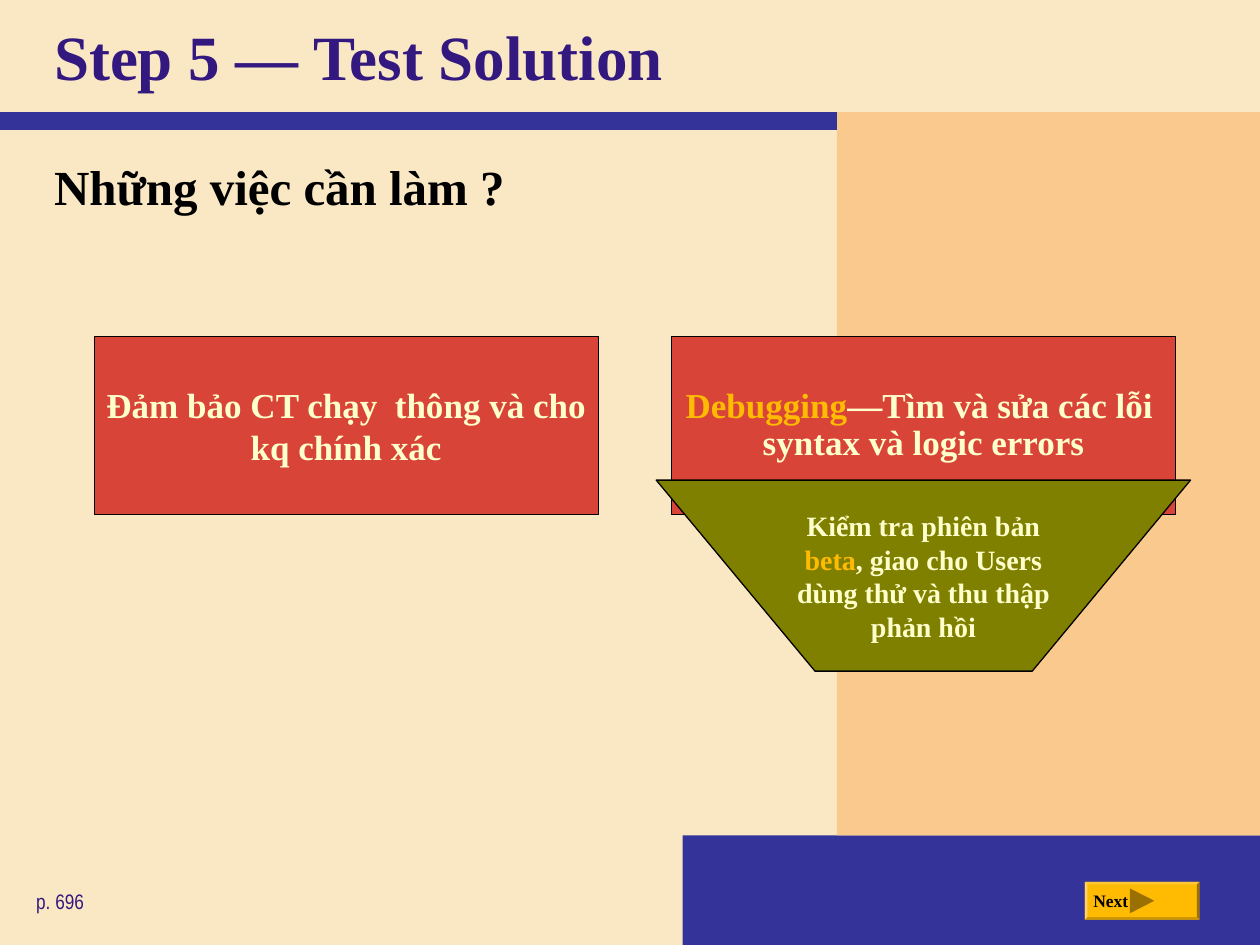
from dataclasses import dataclass

from lxml import etree
from pptx import Presentation
from pptx.dml.color import RGBColor
from pptx.enum import shapes, text
from pptx.oxml import ns
from pptx.util import Cm, Pt


@dataclass(frozen=True)
class Theme:
    background: str = "FAE8C4"
    sidebar: str = "FAC98E"
    band: str = "333399"
    heading: str = "33197F"
    black: str = "000000"
    card: str = "D94439"
    olive: str = "808000"
    cream: str = "FFFFCC"
    amber: str = "FFBA02"
    amber_light: str = "FFC834"
    amber_pale: str = "FFD567"
    amber_shade: str = "CC9502"
    amber_dark: str = "997001"
    serif: str = "Times New Roman"
    narrow: str = "Arial Narrow"
    title_size: int = 36
    body_size: int = 28
    card_size: int = 20
    note_size: int = 16
    page_size: int = 12
    button_size: int = 10


THEME = Theme()
Point = tuple[float, float]


@dataclass(frozen=True)
class Box:
    left: float
    top: float
    width: float
    height: float

    def lengths(self) -> list[Cm]:
        return [Cm(v) for v in (self.left, self.top, self.width, self.height)]


@dataclass(frozen=True)
class Run:
    words: str
    color: str


@dataclass(frozen=True)
class Label:
    box: Box
    run: Run
    size: int
    font: str = THEME.serif
    bold: bool = True
    anchor: text.MSO_ANCHOR = text.MSO_ANCHOR.TOP


@dataclass(frozen=True)
class Card:
    left: float
    runs: tuple[Run, ...]
    line_spacing: float = 1.0


def write(shape, runs: tuple[Run, ...], size: int, font: str = THEME.serif,
          bold: bool = True, **paragraph_format) -> None:
    shape.text_frame.word_wrap = True
    paragraph = shape.text_frame.paragraphs[0]
    for name, value in paragraph_format.items():
        setattr(paragraph, name, value)
    for item in runs:
        run = paragraph.add_run()
        run.text = item.words
        for name, value in {"name": font, "size": Pt(size), "bold": bold}.items():
            setattr(run.font, name, value)
        run.font.color.rgb = RGBColor.from_string(item.color)


def set_frame(shape, anchor: text.MSO_ANCHOR, side: float, top: float = 0,
              bottom: float = 0) -> None:
    values = {"vertical_anchor": anchor, "margin_left": Cm(side), "margin_right": Cm(side),
              "margin_top": Cm(top), "margin_bottom": Cm(bottom)}
    for name, value in values.items():
        setattr(shape.text_frame, name, value)


def paint(shape, fill: str, outlined: bool = False) -> None:
    shape.shadow.inherit = False
    shape.fill.solid()
    shape.fill.fore_color.rgb = RGBColor.from_string(fill)
    if outlined:
        shape.line.color.rgb = RGBColor.from_string(THEME.black)
        shape.line.width = Pt(0.75)
    else:
        shape.line.fill.background()


def add_rectangle(slide, box: Box, fill: str, outlined: bool = False):
    shape = slide.shapes.add_shape(shapes.MSO_SHAPE.RECTANGLE, *box.lengths())
    paint(shape, fill, outlined)
    return shape


def add_polygon(slide, points: list[Point], fill: str, outlined: bool = False):
    corners = [(Cm(x), Cm(y)) for x, y in points]
    builder = slide.shapes.build_freeform(*corners[0])
    builder.add_line_segments(corners[1:], close=True)
    shape = builder.convert_to_shape()
    paint(shape, fill, outlined)
    return shape


def add_label(slide, label: Label) -> None:
    shape = slide.shapes.add_textbox(*label.box.lengths())
    set_frame(shape, label.anchor, 0.25, 0.13, 0.13)
    write(shape, (label.run,), label.size, label.font, label.bold)


def add_rule(slide, length: float, y: float) -> None:
    rule = slide.shapes.add_connector(
        shapes.MSO_CONNECTOR.STRAIGHT, Cm(0), Cm(y), Cm(length), Cm(y))
    rule.line.color.rgb = RGBColor.from_string(THEME.band)
    rule.line.width = Pt(10)
    etree.SubElement(rule.element.spPr, ns.qn("a:effectLst"))


def add_card(slide, card: Card) -> None:
    shape = add_rectangle(slide, Box(card.left, 6.78, 10.16, 3.6), THEME.card, True)
    set_frame(shape, text.MSO_ANCHOR.MIDDLE, 0)
    write(shape, card.runs, THEME.card_size, alignment=text.PP_ALIGN.CENTER,
          line_spacing=card.line_spacing)


def corners_of(box: Box, inset: float = 0) -> list[Point]:
    left, top = box.left + inset, box.top + inset
    right, bottom = box.left + box.width - inset, box.top + box.height - inset
    return [(left, top), (right, top), (right, bottom), (left, bottom)]


def add_next_button(slide, box: Box) -> None:
    outer, inner = corners_of(box), corners_of(box, 0.05)
    add_rectangle(slide, box, THEME.amber)
    # Bevelled edges: top, right, bottom, left
    shades = (THEME.amber_light, THEME.amber_dark, THEME.amber_shade, THEME.amber_pale)
    for i, shade in enumerate(shades):
        j = (i + 1) % 4
        add_polygon(slide, [outer[i], outer[j], inner[j], inner[i]], shade)
    # Arrow
    x, middle = box.left + 0.91, box.top + box.height / 2
    add_polygon(slide, [(x, middle - 0.25), (x + 0.49, middle), (x, middle + 0.25)],
                THEME.amber_dark)


def main() -> None:
    presentation = Presentation()
    presentation.slide_width, presentation.slide_height = Cm(25.4), Cm(19.05)
    slide = presentation.slides.add_slide(presentation.slide_layouts[6])
    slide.background.fill.solid()
    slide.background.fill.fore_color.rgb = RGBColor.from_string(THEME.background)

    # Background bands
    add_rectangle(slide, Box(13.76, 16.84, 11.64, 2.21), THEME.band)
    add_rectangle(slide, Box(16.87, 2.26, 8.53, 14.58), THEME.sidebar)
    add_rule(slide, 16.87, 2.44)

    # Button, then headings and small labels
    add_next_button(slide, Box(21.87, 17.78, 2.31, 0.76))
    labels = (
        Label(Box(0.84, 0, 23.85, 2.24), Run("Step 5 — Test Solution", THEME.heading),
              THEME.title_size, anchor=text.MSO_ANCHOR.MIDDLE),
        Label(Box(0.84, 3.02, 23.85, 1.63), Run("Những việc cần làm ?", THEME.black),
              THEME.body_size),
        Label(Box(0.48, 17.78, 4.29, 0.76), Run("p. 696", THEME.heading),
              THEME.page_size, THEME.narrow, False),
        Label(Box(21.79, 17.81, 1.3, 0.69), Run("Next", THEME.black), THEME.button_size),
    )
    for label in labels:
        add_label(slide, label)

    # Task cards
    cards = (
        Card(1.9, (Run("Đảm bảo CT chạy  thông và cho kq chính xác", THEME.cream),)),
        Card(13.54, (Run("Debugging", THEME.amber),
                     Run("—Tìm và sửa các lỗi  syntax và logic errors", THEME.cream)), 0.9),
    )
    for card in cards:
        add_card(slide, card)

    # Beta testing funnel
    funnel = add_polygon(slide, [(24, 9.68), (20.81, 13.53), (16.43, 13.53), (13.23, 9.68)],
                         THEME.olive, True)
    set_frame(funnel, text.MSO_ANCHOR.MIDDLE, 2.69)
    write(funnel, (Run("Kiểm tra phiên bản ", THEME.cream), Run("beta", THEME.amber),
                   Run(", giao cho Users dùng thử và thu thập phản hồi", THEME.cream)),
          THEME.note_size, alignment=text.PP_ALIGN.CENTER)

    presentation.save("out.pptx")


if __name__ == "__main__":
    main()
